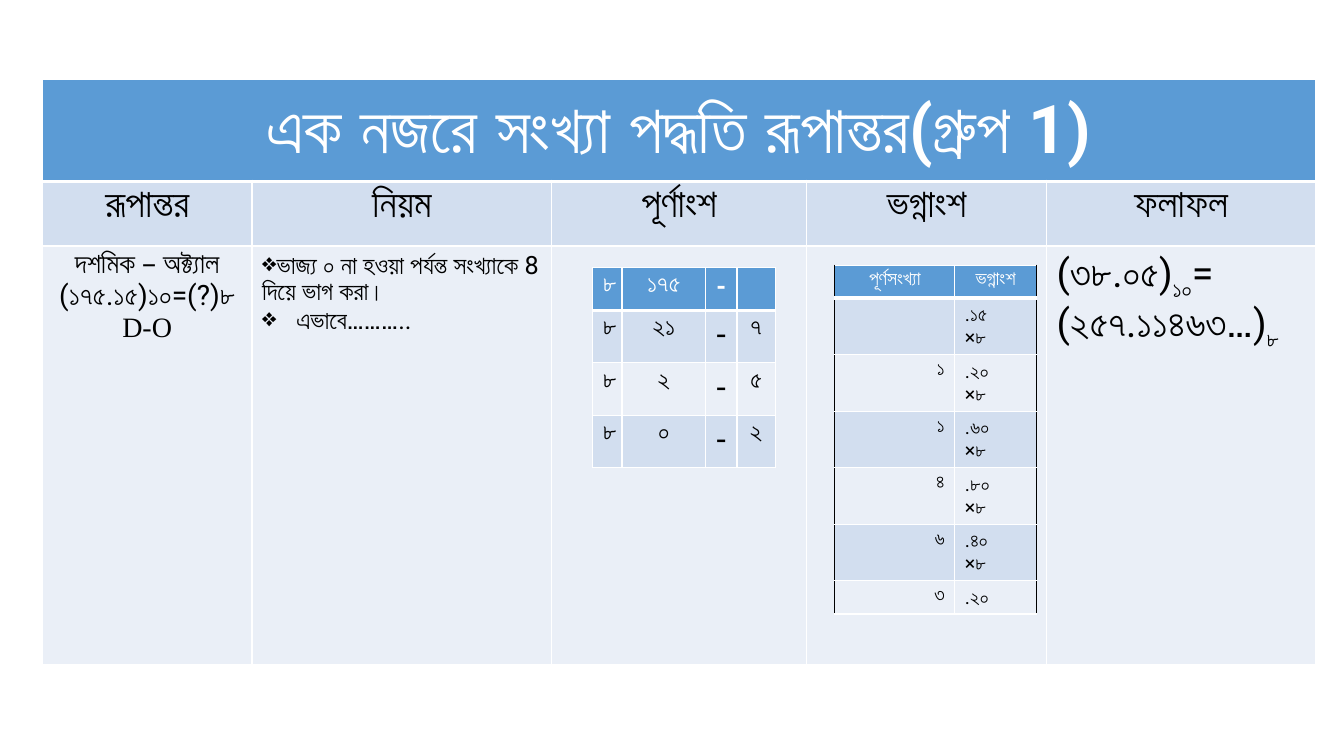
from dataclasses import dataclass

from lxml import etree
from pptx import Presentation
from pptx.dml.color import RGBColor
from pptx.enum import text as t
from pptx.oxml import ns
from pptx.util import Inches, Pt

CENTER, RIGHT, LEFT = t.PP_ALIGN.CENTER, t.PP_ALIGN.RIGHT, t.PP_ALIGN.LEFT


@dataclass(frozen=True)
class Theme:
    """Colours, fonts and type sizes of the slide."""
    header: str = "5B9BD5"
    bands: tuple = ("EAEFF7", "D2DEEF")
    white: str = "FFFFFF"
    black: str = "000000"
    font: str = "Roboto"
    serif: str = "Times New Roman"
    title: int = 48
    heading: int = 28
    dash: int = 24
    task: int = 20
    body: int = 18
    small: int = 14


TH = Theme()


def add_text(tf, text, size=TH.body, color=TH.black, bold=False, align=LEFT,
             font=TH.font, bullet=None, hang=0, sub=False, join=False):
    """Add a run in a new paragraph, or in the last one if join is set."""
    p = tf.paragraphs[-1]
    if p.runs and not join:
        p = tf.add_paragraph()
    if not join:
        p.alignment = align
    if bullet:
        pPr = p._p.get_or_add_pPr()
        pPr.set("marL", str(Inches(hang)))
        pPr.set("indent", str(-Inches(hang)))
        etree.SubElement(pPr, ns.qn("a:buChar")).set("char", bullet)
    r = p.add_run()
    r.text = text
    r.font.size, r.font.bold, r.font.name = Pt(size), bold, font
    r.font.color.rgb = RGBColor.from_string(color)
    if sub:
        r._r.get_or_add_rPr().set("baseline", "-25000")


def add_border(cell, side, color, width=1):
    """Draw one side of a cell."""
    ln = etree.SubElement(cell._tc.get_or_add_tcPr(), ns.qn(f"a:ln{side}"), w=str(Pt(width)))
    fill = etree.SubElement(ln, ns.qn("a:solidFill"))
    etree.SubElement(fill, ns.qn("a:srgbClr"), val=color)


def add_grid(s, left, top, cols, rows, edge=TH.white):
    """Add a table with a header row, banded rows and coloured outer sides."""
    frame = s.shapes.add_table(len(rows), len(cols), Inches(left), Inches(top),
                               Inches(sum(cols)), Inches(sum(rows)))
    table = frame.table
    table.first_row = table.horz_banding = False
    for col, width in zip(table.columns, cols):
        col.width = Inches(width)
    for i, height in enumerate(rows):
        table.rows[i].height = Inches(height)
        for j in range(len(cols)):
            cell = table.cell(i, j)
            add_border(cell, "L", TH.white if j else edge)
            add_border(cell, "R", edge if j == len(cols) - 1 else TH.white)
            add_border(cell, "T", TH.white, 3 if i == 1 else 1)
            add_border(cell, "B", TH.white, 1 if i else 3)
            cell.fill.solid()
            cell.fill.fore_color.rgb = RGBColor.from_string(TH.bands[i % 2] if i else TH.header)
    return table


def add_summary(s, left, top):
    """Build the main table and return the corners of its bottom cells."""
    cols, rows = [2.08, 2.97, 2.53, 2.38, 2.67], [1.01, 0.64, 4.15]
    table = add_grid(s, left, top, cols, rows)
    title = table.cell(0, 0)
    title.merge(table.cell(0, len(cols) - 1))
    title.vertical_anchor = t.MSO_ANCHOR.MIDDLE
    add_text(title.text_frame, "এক নজরে সংখ্যা পদ্ধতি রূপান্তর(গ্রুপ 1)", size=TH.title,
             color=TH.white, bold=True, align=CENTER)
    for j, name in enumerate(["রূপান্তর", "নিয়ম", "পূর্ণাংশ", "ভগ্নাংশ", "ফলাফল"]):
        add_text(table.cell(1, j).text_frame, name, size=TH.heading, align=CENTER)

    task, rule, result = (table.cell(2, j).text_frame for j in (0, 1, 4))
    add_text(task, "দশমিক – অক্ট্যাল (১৭৫.১৫)১০=(?)৮", size=TH.task, align=CENTER)
    add_text(task, "D-O", size=TH.task, align=CENTER, font=TH.serif)
    add_text(rule, "ভাজ্য ০ না হওয়া পর্যন্ত সংখ্যাকে 8 দিয়ে ভাগ করা।", bullet="❖")
    add_text(rule, "এভাবে………..", bullet="❖", hang=0.34)
    add_text(result, "(৩৮.০৫)", size=TH.heading)
    add_text(result, "১০", size=TH.heading, sub=True, join=True)
    add_text(result, "=", size=TH.heading, join=True)
    add_text(result, "(২৫৭.১১৪৬৩…)", size=TH.heading)
    add_text(result, "৮", size=TH.heading, sub=True, join=True)
    return [(left + sum(cols[:j]), top + sum(rows[:2])) for j in range(len(cols))]


def add_division(s, left, top):
    """Build the repeated division of the whole part."""
    steps = [("১৭৫", ""), ("২১", "৭"), ("২", "৫"), ("০", "২")]
    table = add_grid(s, left + 0.41, top + 0.21, [0.29, 0.83, 0.31, 0.38],
                     [0.43] + [0.52] * 3)
    for i, (quotient, remainder) in enumerate(steps):
        for j, text in enumerate(["৮", quotient, "-", remainder]):
            if text:
                add_text(table.cell(i, j).text_frame, text, align=CENTER, bold=i == 0,
                         size=TH.dash if i and text == "-" else TH.body,
                         color=TH.black if i else TH.white)


def add_fraction(s, left, top):
    """Build the repeated multiplication of the fractional part."""
    steps = [("", ".১৫"), ("১", ".২০"), ("১", ".৬০"), ("৪", ".৮০"), ("৬", ".৪০"), ("৩", ".২০")]
    table = add_grid(s, left + 0.28, top + 0.19, [1.19, 0.81],
                     [0.33] + [0.56] * 5 + [0.33], edge=TH.black)
    for j, name in enumerate(["পূর্ণসংখ্যা", "ভগ্নাংশ"]):
        add_text(table.cell(0, j).text_frame, name, size=TH.small, color=TH.white,
                 bold=True, align=CENTER)
    for i, (whole, part) in enumerate(steps, 1):
        if whole:
            add_text(table.cell(i, 0).text_frame, whole, size=TH.small, align=RIGHT)
        tf = table.cell(i, 1).text_frame
        add_text(tf, part, size=TH.small)
        if i < len(steps):
            add_text(tf, "×৮", size=TH.small)


def main():
    """Build and save the slide."""
    prs = Presentation()
    prs.slide_width, prs.slide_height = Inches(13.33), Inches(7.5)
    s = prs.slides.add_slide(prs.slide_layouts[6])
    corners = add_summary(s, 0.42, 0.79)
    add_division(s, *corners[2])
    add_fraction(s, *corners[3])
    prs.save("out.pptx")


if __name__ == "__main__":
    main()
